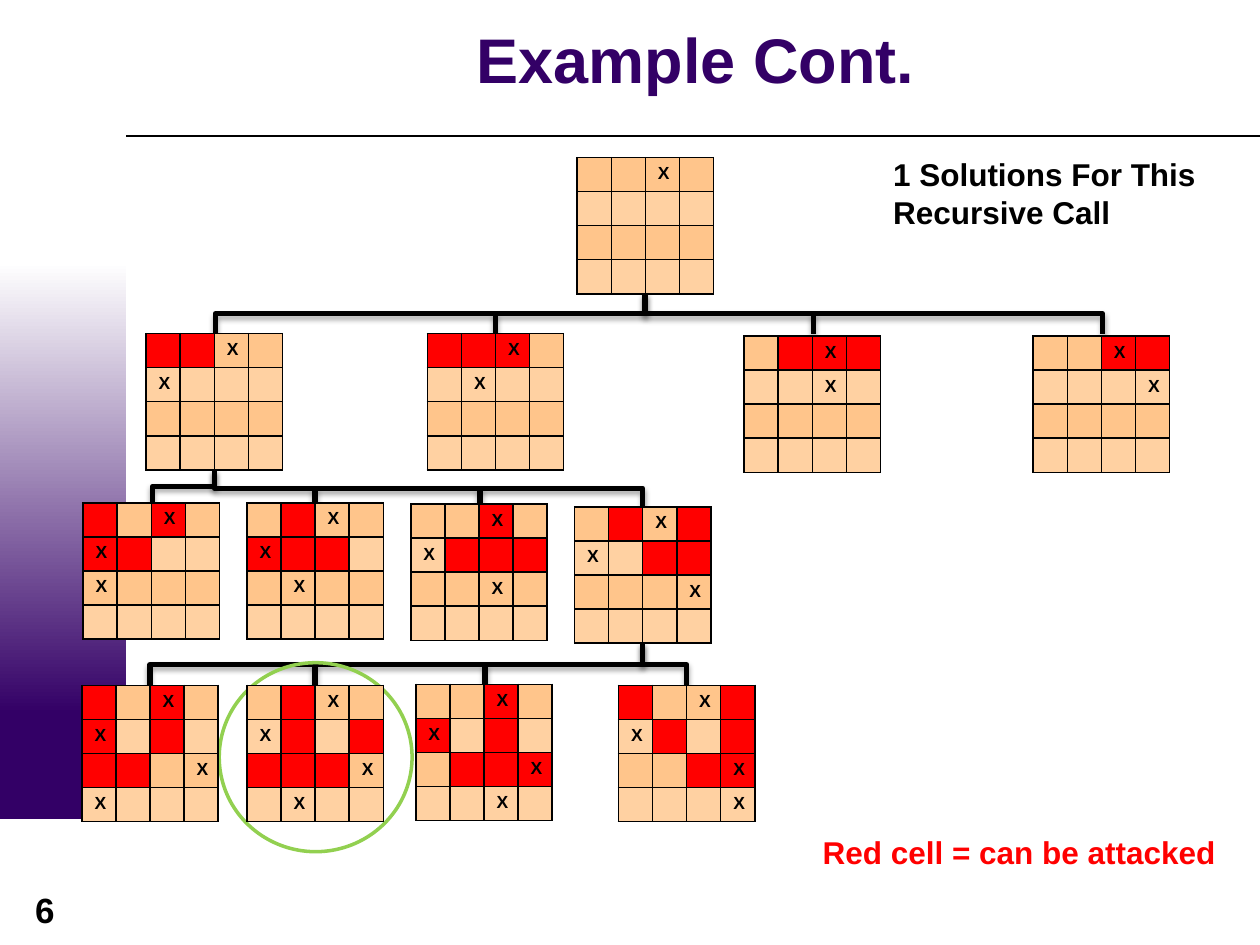
import lxml.etree
import pptx
import pptx.dml.color
import pptx.enum.shapes
import pptx.enum.text
import pptx.oxml
import pptx.oxml.ns
import pptx.util

Pt = pptx.util.Pt
qn = pptx.oxml.ns.qn
SHAPES = pptx.enum.shapes.MSO_SHAPE
CONNECTORS = pptx.enum.shapes.MSO_CONNECTOR
CENTER = pptx.enum.text.PP_ALIGN.CENTER

FONT = "Arial"
BLACK, RED, PURPLE, GREEN = "000000", "FF0000", "330066", "92D050"
ROW_FILLS = ("FFC58B", "FFD1A2")
CELL = 19.5
BOARD_SIZE = 4

# Board rows: X queen, # attacked cell, @ attacked queen, . free cell
ROOT_BOARD = (329.8, 90, "..X. .... .... ....")
BOARDS = [
    (83.5, 190.6, "##X. X... .... ...."),
    (244.2, 190.6, "##@. .X.. .... ...."),
    (425.2, 192, ".#@# ..X. .... ...."),
    (590.4, 192, "..@# ...X .... ...."),
    (47.5, 287.3, "#.@. @#.. X... ...."),
    (141.1, 287.3, ".#X. @##. .X.. ...."),
    (234.8, 288, "..@. X### ..X. ...."),
    (328.3, 289.6, ".#X# X.## ...X ...."),
    (46.8, 391.6, "#.@. @.#. ##.X X..."),
    (141.1, 391.6, ".#X. X#.# ###X .X.."),
    (237.6, 391, "..@. @.#. .##@ ..X."),
    (353.4, 391.6, "#.X# X#.# ..#@ ...X"),
]

# Parent point, then the points of its children from left to right
BRANCHES = [
    ((368.6, 167.8), [(123, 190.8), (283, 190.8), (465, 190.8), (630, 190.8)]),
    ((122.6, 268.6), [(87.1, 287.3), (180, 289.4), (274.3, 288), (367.2, 289.4)]),
    ((367.2, 367.9), [(85.7, 391.7), (180, 403), (277.2, 402.5), (392.4, 391.7)]),
]


def color(hex_string):
    return pptx.dml.color.RGBColor.from_string(hex_string)


def set_font(paragraph, size, hex_string):
    font = paragraph.font
    font.name, font.size, font.bold = FONT, Pt(size), True
    font.color.rgb = color(hex_string)


def add_plain_shape(slide, kind, left, top, width, height):
    shape = slide.shapes.add_shape(kind, Pt(left), Pt(top), Pt(width), Pt(height))
    shape.shadow.inherit = False
    return shape


def add_line(slide, kind, start, end, width, shadow=False):
    line = slide.shapes.add_connector(kind, *(Pt(value) for value in start + end))
    line.line.color.rgb = color(BLACK)
    line.line.width = Pt(width)
    properties = line._element.spPr
    effects = lxml.etree.SubElement(properties, qn("a:effectLst"))
    if shadow:
        outer = lxml.etree.SubElement(
            effects, qn("a:outerShdw"), blurRad=str(Pt(3.1)), dist=str(Pt(1.8)),
            dir="5400000", rotWithShape="0")
        shade = lxml.etree.SubElement(outer, qn("a:srgbClr"), val=BLACK)
        lxml.etree.SubElement(shade, qn("a:alpha"), val="35000")
    return line


def add_elbow(slide, start, end):
    """Elbow that leaves its start downwards: a sideways elbow, turned."""
    (x1, y1), (x2, y2) = start, end
    center_x, center_y = (x1 + x2) / 2, (y1 + y2) / 2
    half_width, half_height = abs(x2 - x1) / 2, (y2 - y1) / 2
    side = -1 if x2 < x1 else 1
    elbow = add_line(
        slide, CONNECTORS.ELBOW,
        (center_x + side * half_height, center_y - half_width),
        (center_x - side * half_height, center_y + half_width), 3, shadow=True)
    degrees = 90 if x2 < x1 else 270
    elbow._element.spPr.find(qn("a:xfrm")).set("rot", str(degrees * 60000))


def add_branches(slide, parent, children):
    first, *middle, last = children
    add_elbow(slide, parent, first)
    add_elbow(slide, parent, last)
    bar_y = (parent[1] + last[1]) / 2
    for x, y in middle:
        add_line(slide, CONNECTORS.STRAIGHT, (x, bar_y), (x, y), 3, shadow=True)


def add_borders(cell):
    properties = cell._tc.get_or_add_tcPr()
    for side in ("lnL", "lnR", "lnT", "lnB"):
        border = lxml.etree.SubElement(properties, qn(f"a:{side}"), w=str(Pt(1)))
        fill = lxml.etree.SubElement(border, qn("a:solidFill"))
        lxml.etree.SubElement(fill, qn("a:srgbClr"), val=BLACK)


def add_board(slide, left, top, rows):
    size = Pt(CELL * BOARD_SIZE)
    table = slide.shapes.add_table(
        BOARD_SIZE, BOARD_SIZE, Pt(left), Pt(top), size, size).table
    table.first_row = table.horz_banding = False
    for line in (*table.columns, *table.rows):
        if line in tuple(table.columns):
            line.width = Pt(CELL)
    for column in table.columns:
        column.width = Pt(CELL)
    for row in table.rows:
        row.height = Pt(CELL)
    for row_index, marks in enumerate(rows.split()):
        for column_index, mark in enumerate(marks):
            cell = table.cell(row_index, column_index)
            add_borders(cell)
            cell.fill.solid()
            cell.fill.fore_color.rgb = color(
                RED if mark in "#@" else ROW_FILLS[row_index % 2])
            paragraph = cell.text_frame.paragraphs[0]
            set_font(paragraph, 10, BLACK)
            if mark in "X@":
                paragraph.add_run().text = "X"
            else:
                lxml.etree.SubElement(paragraph._p, qn("a:endParaRPr"), sz="1000")


def add_label(slide, left, top, width, height, text, size, hex_string, alignment=None):
    box = slide.shapes.add_textbox(Pt(left), Pt(top), Pt(width), Pt(height))
    box.text_frame.word_wrap = True
    paragraph = box.text_frame.paragraphs[0]
    paragraph.text = text
    paragraph.alignment = alignment
    set_font(paragraph, size, hex_string)


def add_side_band(slide, left, top, width, height):
    fade_height = 257.8
    base_top = 246.2 + top
    base = add_plain_shape(
        slide, SHAPES.RECTANGLE, left, base_top, width, top + height - base_top)
    base.fill.solid()
    base.fill.fore_color.rgb = color(PURPLE)
    fade = add_plain_shape(slide, SHAPES.RECTANGLE, left, top, width, fade_height)
    fade.fill.gradient()
    fade.fill.gradient_angle = 270
    for stop, position, hex_string in zip(
            fade.fill.gradient_stops, (0, 1), ("FFFFFF", PURPLE)):
        stop.position = position
        stop.color.rgb = color(hex_string)
    for shape in (base, fade):
        shape.line.fill.background()


def format_title(title, left, top, width, height, text):
    title.left, title.top, title.width, title.height = map(
        Pt, (left, top, width, height))
    frame = title.text_frame
    frame.text = text
    frame.auto_size = pptx.enum.text.MSO_AUTO_SIZE.NONE
    frame.vertical_anchor = pptx.enum.text.MSO_ANCHOR.MIDDLE
    frame.margin_top = frame.margin_bottom = 0
    paragraph = frame.paragraphs[0]
    paragraph.alignment = CENTER
    paragraph.line_spacing = 0.85
    set_font(paragraph, 36, PURPLE)


def add_solution_circle(slide, left, top, width, height):
    circle = add_plain_shape(slide, SHAPES.OVAL, left, top, width, height)
    circle.fill.background()
    circle.line.color.rgb = color(GREEN)
    circle.line.width = Pt(2)


def main():
    presentation = pptx.Presentation()
    presentation.slide_width, presentation.slide_height = Pt(720), Pt(540)
    slide = presentation.slides.add_slide(presentation.slide_layouts[5])
    add_side_band(slide, 0, 149.8, 72, 318.2)
    add_line(slide, CONNECTORS.STRAIGHT, (72, 77.8), (720, 77.8), 0.75)
    add_label(slide, -1.4, 504, 54, 31.7, "6", 20, BLACK, CENTER)
    format_title(slide.shapes.title, 74.9, 2.2, 645.1, 69.1, "Example Cont.")
    add_board(slide, *ROOT_BOARD)
    for parent, children in BRANCHES:
        add_branches(slide, parent, children)
    add_solution_circle(slide, 125.3, 378.7, 110.2, 108)
    add_label(slide, 503.3, 85, 218.9, 51.1,
              "1 Solutions For This Recursive Call", 18, BLACK)
    add_label(slide, 463, 472.3, 246.2, 28.8, "Red cell = can be attacked", 18, RED)
    for board in BOARDS:
        add_board(slide, *board)
    presentation.save("out.pptx")


if __name__ == "__main__":
    main()
